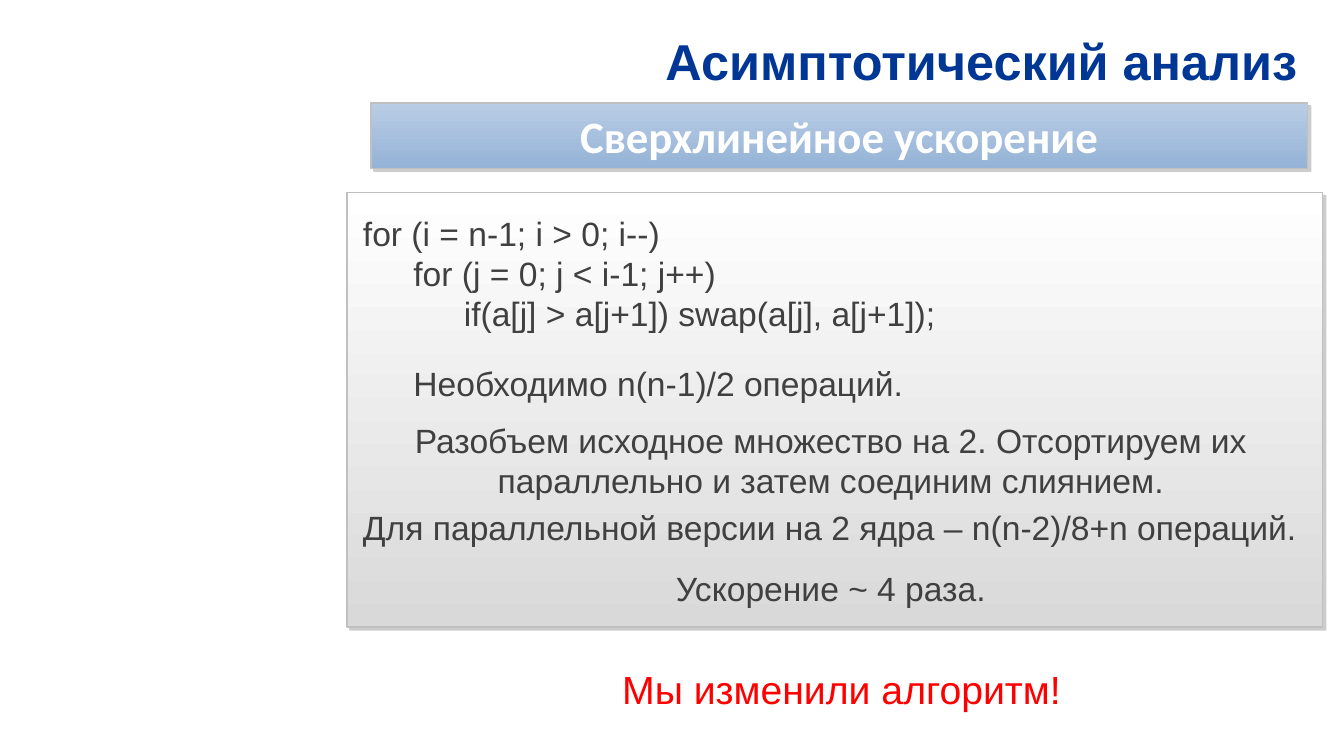
from lxml import etree
from pptx import Presentation
from pptx.dml.color import RGBColor
from pptx.enum.shapes import MSO_SHAPE
from pptx.enum.text import MSO_ANCHOR, PP_ALIGN
from pptx.oxml.ns import qn
from pptx.util import Inches, Pt

RECT = MSO_SHAPE.RECTANGLE
TOP, MIDDLE = MSO_ANCHOR.TOP, MSO_ANCHOR.MIDDLE
LEFT, CENTER, RIGHT = PP_ALIGN.LEFT, PP_ALIGN.CENTER, PP_ALIGN.RIGHT
TITLE_ONLY = 5
INDENT = 0.5

# indent level, alignment, line spacing, points before, points after, text
BODY = [
    (0, LEFT, 1.0, 0, 0, "for (i = n-1; i > 0; i--)"),
    (1, LEFT, 1.0, 0, 0, "for (j = 0; j < i-1; j++)"),
    (2, LEFT, 1.0, 0, 0, "if(a[j] > a[j+1]) swap(a[j], a[j+1]);"),
    (1, LEFT, 1.3, 12, 12, "Необходимо n(n-1)/2 операций."),
    (0, CENTER, 1.0, 0, 4.8, "Разобъем исходное множество на 2. "
     "Отсортируем их параллельно и затем соединим слиянием."),
    (0, LEFT, 1.0, 0, 6, "Для параллельной версии на 2 ядра – n(n-2)/8+n операций."),
    (0, CENTER, 1.3, 0, 4.8, "Ускорение ~ 4 раза."),
]


def rgb(value):
    """Return the colour for a hex string."""
    return RGBColor.from_string(value)


def inches(box):
    """Return the box lengths in slide units."""
    return [Inches(v) for v in box]


def write(p, text, size, color, font="Arial", bold=False, align=LEFT):
    """Put formatted text in a paragraph."""
    p.text = text
    p.alignment = align
    for r in p.runs:
        r.font.size = Pt(size)
        r.font.name = font
        r.font.bold = bold
        r.font.color.rgb = rgb(color)


def add_shadow(sp):
    """Give a shape a hard grey shadow to the lower right."""
    sp.shadow.inherit = False
    effects = sp._element.spPr.find(qn("a:effectLst"))
    outer = etree.SubElement(effects, qn("a:outerShdw"), blurRad="0",
                             dist=str(Pt(3)), dir="2700000", algn="tl", rotWithShape="0")
    color = etree.SubElement(outer, qn("a:srgbClr"), val="808080")
    etree.SubElement(color, qn("a:alpha"), val="40000")


def add_panel(s, box, colors, anchor, insets):
    """Add a shadowed gradient rectangle and return its text frame."""
    sp = s.shapes.add_shape(RECT, *inches(box))
    sp.fill.gradient()
    sp.fill.gradient_angle = 270
    for stop, color in zip(sp.fill.gradient_stops, colors):
        stop.color.rgb = rgb(color)
    sp.line.color.rgb = rgb("C0C0C0")
    sp.line.width = Pt(1)
    add_shadow(sp)
    tf = sp.text_frame
    tf.word_wrap = True
    tf.vertical_anchor = anchor
    tf.margin_left, tf.margin_top, tf.margin_right, tf.margin_bottom = inches(insets)
    return tf


def add_title(s, box):
    """Place the slide title."""
    sp = s.shapes.title
    sp.left, sp.top, sp.width, sp.height = inches(box)
    sp.text_frame.vertical_anchor = MIDDLE
    write(sp.text_frame.paragraphs[0], "Асимптотический анализ", 36, "003794",
          bold=True, align=RIGHT)


def add_heading(s, box):
    """Add the blue subject bar."""
    tf = add_panel(s, box, ("B9CDE5", "95B3D7"), MIDDLE, (0.24, 0.04, 0.24, 0.04))
    p = tf.paragraphs[0]
    write(p, "Сверхлинейное ускорение", 32, "FFFFFF", "Calibri", True, CENTER)
    p.space_after = Pt(6.4)


def add_body(s, box):
    """Add the grey panel with the code and its analysis."""
    tf = add_panel(s, box, ("FFFFFF", "D9D9D9"), TOP, (0.16, 0.2, 0.24, 0.04))
    for i, (level, align, spacing, before, after, text) in enumerate(BODY):
        p = tf.add_paragraph() if i else tf.paragraphs[0]
        write(p, text, 24, "404040", align=align)
        p.line_spacing = spacing
        p.space_before, p.space_after = Pt(before), Pt(after)
        p._p.get_or_add_pPr().set("marL", str(Inches(level * INDENT)))


def add_conclusion(s, box):
    """Add the red closing remark."""
    tf = s.shapes.add_textbox(*inches(box)).text_frame
    tf.word_wrap = True
    write(tf.paragraphs[0], "Мы изменили алгоритм!", 28, "FF0000", align=CENTER)


def main():
    """Build and save the slide."""
    prs = Presentation()
    prs.slide_width, prs.slide_height = Inches(13.33), Inches(7.5)
    s = prs.slides.add_slide(prs.slide_layouts[TITLE_ONLY])
    add_title(s, (3.68, 0.26, 9.29, 0.68))
    add_heading(s, (3.68, 1.02, 9.29, 0.65))
    add_body(s, (3.44, 1.91, 9.68, 4.31))
    add_conclusion(s, (5.37, 6.55, 5.95, 0.57))
    prs.save("out.pptx")


if __name__ == "__main__":
    main()
